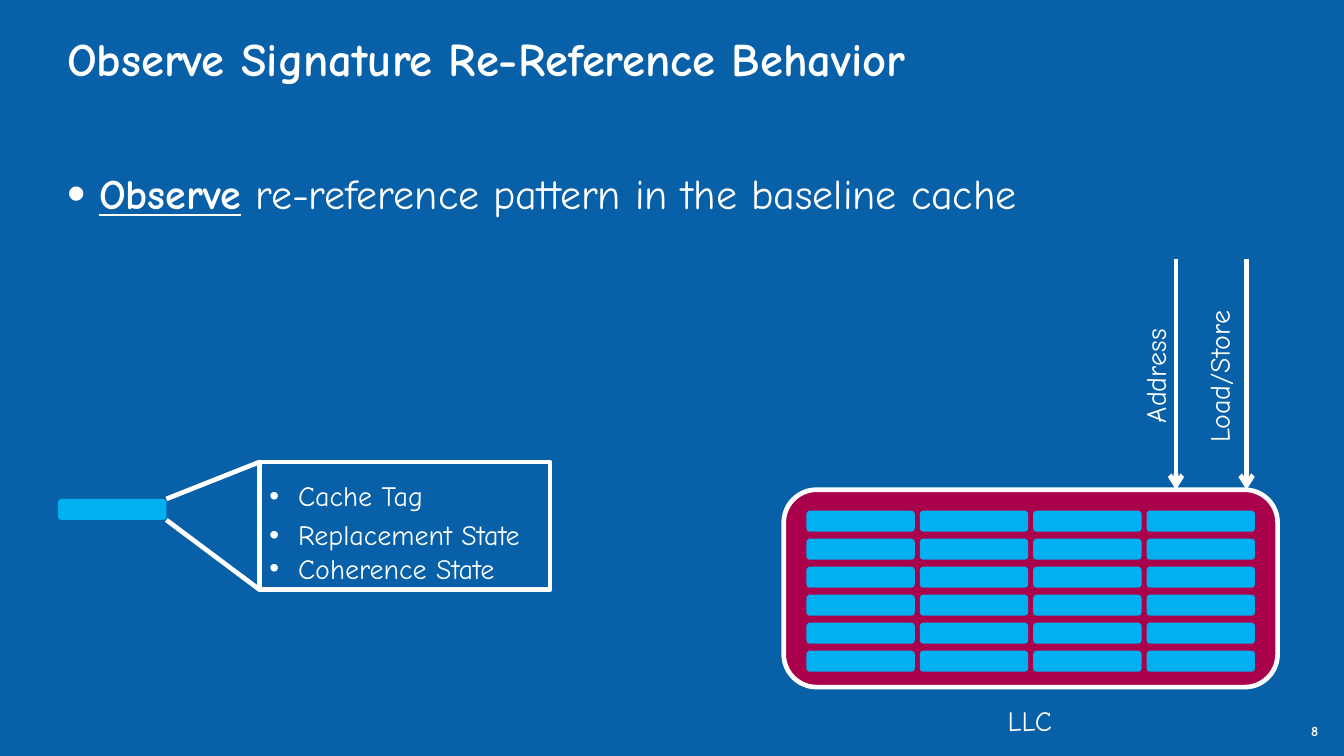
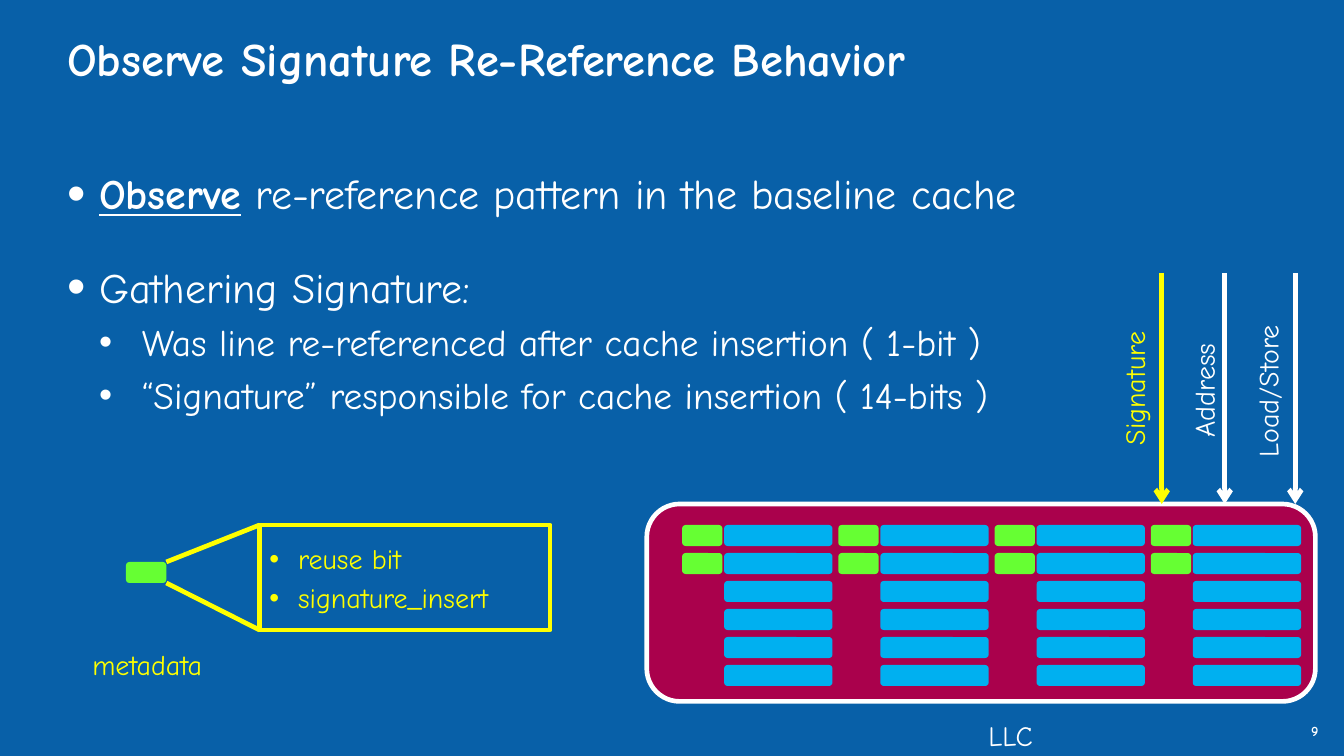
import lxml.etree
import pptx
import pptx.dml.color
import pptx.enum.shapes
import pptx.enum.text
import pptx.oxml.ns
import pptx.util

RGBColor = pptx.dml.color.RGBColor
BLUE = RGBColor(0x08, 0x60, 0xA8)
WHITE = RGBColor(0xFF, 0xFF, 0xFF)
YELLOW = RGBColor(0xFF, 0xFF, 0x00)
CRIMSON = RGBColor(0xAA, 0x01, 0x4C)
CYAN = RGBColor(0x00, 0xB0, 0xF0)
GREEN = RGBColor(0x66, 0xFF, 0x33)
FONT = "Comic Neue"

WIDTH, HEIGHT = pptx.util.Inches(16), pptx.util.Inches(9)
COL, ROW = WIDTH / 16, HEIGHT / 9
LINE = pptx.util.Pt(4)
BLOCK_W, BLOCK_H, TAG_W = 1.29, 0.25, 0.48
BLOCK_ROWS, BLOCK_COLS, ROW_PITCH = 6, 4, 1 / 3
LLC_H = 2.35

RECT = pptx.enum.shapes.MSO_SHAPE.RECTANGLE
ROUND = pptx.enum.shapes.MSO_SHAPE.ROUNDED_RECTANGLE
STRAIGHT = pptx.enum.shapes.MSO_CONNECTOR.STRAIGHT
CENTER = pptx.enum.text.PP_ALIGN.CENTER


def grid(x, y, w, h):
    return round(x * COL), round(y * ROW), round(w * COL), round(h * ROW)


def sub(parent, tag, **attrs):
    return lxml.etree.SubElement(parent, pptx.oxml.ns.qn(tag), attrs)


def add_bullet(p, color, indent, hanging, size=100):
    pPr = p._p.get_or_add_pPr()
    pPr.set("marL", str(round(indent * COL)))
    pPr.set("indent", str(round(-hanging * COL)))
    sub(sub(pPr, "a:buClr"), "a:srgbClr", val=str(color))
    sub(pPr, "a:buSzPct", val=str(size * 1000))
    sub(pPr, "a:buFont", typeface="Arial")
    sub(pPr, "a:buChar", char="•")


def style(p, size, color=WHITE, bold=False):
    p.font.name = FONT
    p.font.size = pptx.util.Pt(size)
    p.font.bold = bold
    p.font.color.rgb = color


def add_frame(s, x, y, w, h, inset=True):
    sp = s.shapes.add_textbox(*grid(x, y, w, h))
    tf = sp.text_frame
    tf.word_wrap = True
    if not inset:
        tf.margin_left = tf.margin_right = tf.margin_top = tf.margin_bottom = 0
    return sp


def add_label(s, box, text, size=24, color=WHITE, bold=False, inset=True, align=None):
    sp = add_frame(s, *box, inset=inset)
    p = sp.text_frame.paragraphs[0]
    p.add_run().text = text
    p.alignment = align
    style(p, size, color, bold)
    return sp


def add_box(s, kind, box, fill=None, line=None):
    sp = s.shapes.add_shape(kind, *grid(*box))
    sp.shadow.inherit = False
    if fill is None:
        sp.fill.background()
    else:
        sp.fill.solid()
        sp.fill.fore_color.rgb = fill
    if line is None:
        sp.line.fill.background()
    else:
        sp.line.color.rgb = line
        sp.line.width = LINE
    return sp


def add_line(s, x1, y1, x2, y2, color, arrow=False):
    cx = s.shapes.add_connector(STRAIGHT, *grid(x1, y1, x2, y2))
    cx.line.color.rgb = color
    cx.line.width = LINE
    if arrow:
        sub(cx.line._get_or_add_ln(), "a:tailEnd", type="arrow")
    sub(cx._element.spPr, "a:effectLst")


def add_body(s, gathering):
    tf = add_frame(s, 0.8, 2, 14.41, 4.33, inset=False).text_frame
    p = tf.paragraphs[0]
    r = p.add_run()
    r.text = "Observe"
    r.font.bold = r.font.underline = True
    p.add_run().text = " re-reference pattern in the baseline cache"
    add_bullet(p, WHITE, 0.38, 0.38, 125)
    style(p, 36)
    for level, text in gathering:
        p = tf.add_paragraph()
        p.add_run().text = text
        if level == 1:
            p.space_before = pptx.util.Pt(37)
            add_bullet(p, WHITE, 0.38, 0.38, 125)
            style(p, 36)
        else:
            p.level = 1
            p.space_before = pptx.util.Pt(6.4)
            add_bullet(p, WHITE, 0.89, 0.51)
            style(p, 32)


def add_callout(s, y, h, block_y, block_w, fill, color, items):
    x, block_right = 3.09, 1.98
    add_box(s, ROUND, (block_right - block_w, block_y, block_w, BLOCK_H), fill)
    add_line(s, block_right, block_y, x, y, color)
    add_line(s, block_right, block_y + BLOCK_H, x, y + h, color)
    add_box(s, RECT, (x, y, 3.46, h), line=color)
    tf = add_frame(s, x + 0.02, y + 0.15, 3.4, h - 0.15).text_frame
    for i, item in enumerate(items):
        p = tf.paragraphs[0] if i == 0 else tf.add_paragraph()
        p.add_run().text = item
        if i == 1:
            p.space_before = pptx.util.Pt(4.8)
        add_bullet(p, color, 0.34, 0.34)
        style(p, 24, color)


def add_cache(s, x, y, w, first_x, pitch, label_x, label_y, tagged_rows=0):
    add_box(s, ROUND, (x, y, w, LLC_H), CRIMSON, WHITE)
    for row in range(BLOCK_ROWS):
        block_y = y + 0.25 + row * ROW_PITCH
        for col in range(BLOCK_COLS):
            block_x = first_x + col * pitch
            add_box(s, ROUND, (block_x, block_y, BLOCK_W, BLOCK_H), CYAN)
            if row < tagged_rows:
                add_box(s, ROUND, (block_x - 0.5, block_y, TAG_W, BLOCK_H), GREEN)
    add_label(s, (label_x, label_y, 0.78, 0.5), "LLC", align=CENTER)


def add_signal(s, cache_y, x, text, gap, length, color=WHITE):
    add_line(s, x, cache_y - 2.75, x, cache_y, color, arrow=True)
    box = (x - gap - length / 2, cache_y - 1.72, length, 0.5)
    add_label(s, box, text, color=color).rotation = 270


def add_slide(prs, number, gathering=()):
    s = prs.slides.add_slide(prs.slide_layouts[6])
    add_label(s, (0.8, 0.36, 14.41, 1.17), "Observe Signature Re-Reference Behavior",
              40, bold=True, inset=False)
    add_label(s, (15.61, 8.6, 0.39, 0.4), str(number), 12, bold=True, inset=False)
    add_body(s, gathering)
    return s


def add_baseline_slide(prs):
    s = add_slide(prs, 8)
    add_callout(s, 5.5, 1.52, 5.94, BLOCK_W, CYAN, WHITE,
                ["Cache Tag", "Replacement State", "Coherence State"])
    add_cache(s, 9.33, 5.83, 5.88, 9.6, 1.35, 11.87, 8.33)
    add_signal(s, 5.83, 14, "Address", 0.25, 1.55)
    add_signal(s, 5.83, 14.84, "Load/Store", 0.33, 2.02)


def add_signature_slide(prs):
    s = add_slide(prs, 9, [
        (1, "Gathering Signature:"),
        (2, "Was line re-referenced after cache insertion ( 1-bit )"),
        (2, "“Signature” responsible for cache insertion ( 14-bits )"),
    ])
    add_cache(s, 7.7, 6, 7.96, 8.62, 1.86, 11.64, 8.5, tagged_rows=2)
    add_callout(s, 6.25, 1.25, 6.69, TAG_W, GREEN, YELLOW,
                ["reuse bit", "signature_insert"])
    add_label(s, (1, 7.66, 1.68, 0.5), "metadata", color=YELLOW)
    add_signal(s, 6, 13.83, "Signature", 0.33, 1.74, YELLOW)
    add_signal(s, 6, 14.58, "Address", 0.25, 1.55)
    add_signal(s, 6, 15.42, "Load/Store", 0.33, 2.02)


def main():
    prs = pptx.Presentation()
    prs.slide_width, prs.slide_height = WIDTH, HEIGHT
    fill = prs.slide_master.background.fill
    fill.solid()
    fill.fore_color.rgb = BLUE
    add_baseline_slide(prs)
    add_signature_slide(prs)
    prs.save("out.pptx")


if __name__ == "__main__":
    main()
